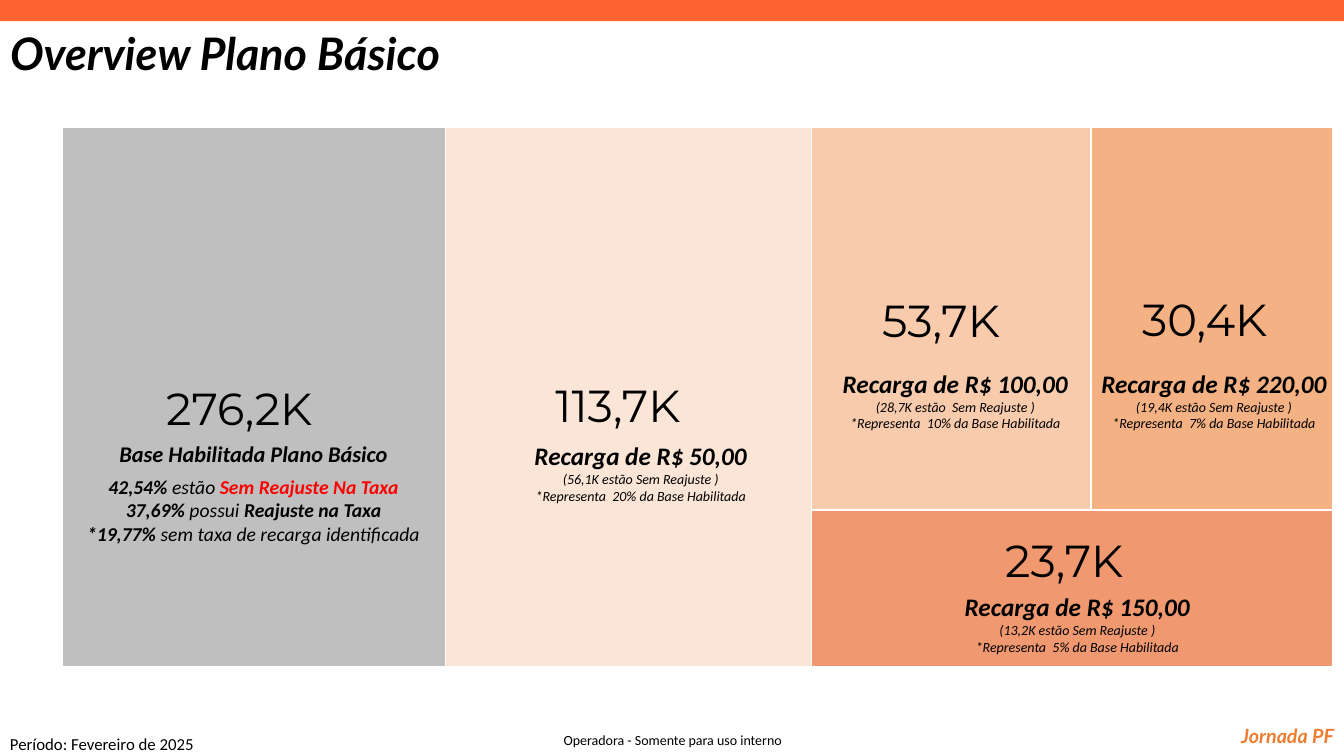
import pptx
import pptx.util
import pptx.dml.color
import pptx.enum.shapes
import pptx.enum.text
from dataclasses import dataclass

Inches = pptx.util.Inches
ALIGN = pptx.enum.text.PP_ALIGN

TITLE = "Overview Plano Básico"
PERIOD = "Período: Fevereiro de 2025"
JOURNEY = "Jornada PF"
CONFIDENTIAL = "Operadora - Somente para uso interno"

# Treemap edges
X = (0.62, 4.42, 8.05, 10.82, 13.22)
Y = (1.26, 5.06, 6.62)

BASE = {
    "cell": (X[0], Y[0], X[1], Y[2]), "fill": "BFBFBF",
    "value": "276,2K", "value_box": (1.55, 3.73, 1.92),
}
BASE_LABEL = "Base Habilitada Plano Básico"
# Runs of each line: text, bold, theme colour
BASE_RATES = [
    [("42,54% ", True, "ink"), ("estão ", False, "ink"), ("Sem Reajuste Na Taxa", True, "alert")],
    [("37,69% ", True, "ink"), ("possui ", False, "ink"), ("Reajuste na Taxa", True, "ink")],
    [("*19,77% ", True, "ink"), ("sem taxa de recarga identificada", False, "ink")],
]

# Boxes are left, top, width
RECHARGES = [
    {"cell": (X[1], Y[0], X[2], Y[2]), "fill": "FBE5D6",
     "value": "113,7K", "value_box": (5.41, 3.7, 1.92),
     "label": "Recarga de R$ 50,00", "label_box": (4.11, 4.32, 4.49),
     "notes": ["(56,1K estão Sem Reajuste )", "*Representa  20% da Base Habilitada"]},
    {"cell": (X[2], Y[0], X[3], Y[1]), "fill": "F8CBAD",
     "value": "53,7K", "value_box": (8.65, 2.86, 1.62),
     "label": "Recarga de R$ 100,00", "label_box": (7.94, 3.6, 3.07),
     "notes": ["(28,7K estão  Sem Reajuste )", "*Representa  10% da Base Habilitada"]},
    {"cell": (X[3], Y[0], X[4], Y[1]), "fill": "F4B183",
     "value": "30,4K", "value_box": (11.23, 2.84, 1.62),
     "label": "Recarga de R$ 220,00", "label_box": (10.64, 3.6, 2.8),
     "notes": ["(19,4K estão Sem Reajuste )", "*Representa  7% da Base Habilitada"]},
    {"cell": (X[2], Y[1], X[4], Y[2]), "fill": "F09971",
     "value": "23,7K", "value_box": (9.87, 5.24, 1.62),
     "label": "Recarga de R$ 150,00", "label_box": (9.17, 5.82, 3.03),
     "notes": ["(13,2K estão Sem Reajuste )", "*Representa  5% da Base Habilitada"]},
]


@dataclass(frozen=True)
class Theme:
    ink: str = "000000"
    alert: str = "FF0000"
    band: str = "FF6332"
    accent: str = "ED7D31"
    border: str = "FFFFFF"
    heading: str = "Lato"
    body: str = "Calibri"
    figure: str = "Montserrat"
    big: int = 32
    recharge: int = 18
    base: int = 16
    medium: int = 14
    footer: int = 12
    small: int = 10


THEME = Theme()


def rgb(value):
    return pptx.dml.color.RGBColor.from_string(value)


def style(font, size, name=THEME.body, color=THEME.ink, bold=False, italic=False):
    font.size = pptx.util.Pt(size)
    font.name = name
    font.color.rgb = rgb(color)
    font.bold = bold
    font.italic = italic


def add_rect(slide, left, top, right, bottom, fill, border=None):
    sp = slide.shapes.add_shape(
        pptx.enum.shapes.MSO_SHAPE.RECTANGLE,
        Inches(left), Inches(top), Inches(right - left), Inches(bottom - top))
    sp.shadow.inherit = False
    sp.fill.solid()
    sp.fill.fore_color.rgb = rgb(fill)
    if border:
        sp.line.color.rgb = rgb(border)
        sp.line.width = pptx.util.Pt(1)
    else:
        sp.line.fill.background()


def add_box(slide, left, top, width, height):
    tf = slide.shapes.add_textbox(
        Inches(left), Inches(top), Inches(width), Inches(height)).text_frame
    tf.word_wrap = True
    return tf


def add_lines(tf, lines, align=ALIGN.LEFT):
    """Fill a frame with (text, font options) pairs, one paragraph each."""
    for i, (text, options) in enumerate(lines):
        p = tf.add_paragraph() if i else tf.paragraphs[0]
        p.text = text
        p.alignment = align
        style(p.font, **options)


def add_tile(slide, tile):
    add_rect(slide, *tile["cell"], tile["fill"], THEME.border)
    add_lines(add_box(slide, *tile["value_box"], 0.64),
              [(tile["value"], {"size": THEME.big, "name": THEME.figure})])


def add_base(slide):
    add_tile(slide, BASE)
    add_lines(add_box(slide, 0.74, 4.32, 3.55, 0.37),
              [(BASE_LABEL, {"size": THEME.base, "bold": True, "italic": True})], ALIGN.CENTER)
    tf = add_box(slide, 0.35, 4.66, 4.33, 0.81)
    for i, runs in enumerate(BASE_RATES):
        p = tf.add_paragraph() if i else tf.paragraphs[0]
        p.alignment = ALIGN.CENTER
        for text, bold, color in runs:
            r = p.add_run()
            r.text = text
            style(r.font, THEME.medium, color=getattr(THEME, color), bold=bold, italic=True)


def add_recharge(slide, tile):
    add_tile(slide, tile)
    lines = [(tile["label"], {"size": THEME.recharge, "bold": True, "italic": True})]
    lines += [(note, {"size": THEME.small, "italic": True}) for note in tile["notes"]]
    add_lines(add_box(slide, *tile["label_box"], 0.74), lines, ALIGN.CENTER)


def add_title(slide):
    title = slide.shapes.title
    title.left, title.top = Inches(0), Inches(0.2)
    title.width, title.height = Inches(11.77), Inches(0.64)
    tf = title.text_frame
    tf.auto_size = pptx.enum.text.MSO_AUTO_SIZE.NONE
    tf.vertical_anchor = pptx.enum.text.MSO_ANCHOR.TOP
    add_lines(tf, [(TITLE, {"size": THEME.big, "name": THEME.heading,
                            "bold": True, "italic": True})])


def add_footers(slide):
    tf = add_box(slide, 5.59, 7.26, 2.19, 0.17)
    tf.margin_left = tf.margin_right = tf.margin_top = tf.margin_bottom = 0
    add_lines(tf, [(CONFIDENTIAL, {"size": THEME.small})])
    add_lines(add_box(slide, 0, 7.23, 2.11, 0.3), [(PERIOD, {"size": THEME.footer})])
    add_lines(add_box(slide, 11.61, 7.13, 1.72, 0.34),
              [(JOURNEY, {"size": THEME.medium, "name": THEME.heading, "color": THEME.accent,
                          "bold": True, "italic": True})], ALIGN.RIGHT)


def main():
    prs = pptx.Presentation()
    prs.slide_width, prs.slide_height = Inches(13.33), Inches(7.5)
    s = prs.slides.add_slide(prs.slide_layouts.get_by_name("Title Only"))
    add_rect(s, 0, 0, 13.33, 0.21, THEME.band)
    add_title(s)
    add_footers(s)
    add_base(s)
    for tile in RECHARGES:
        add_recharge(s, tile)
    prs.save("out.pptx")


if __name__ == "__main__":
    main()
